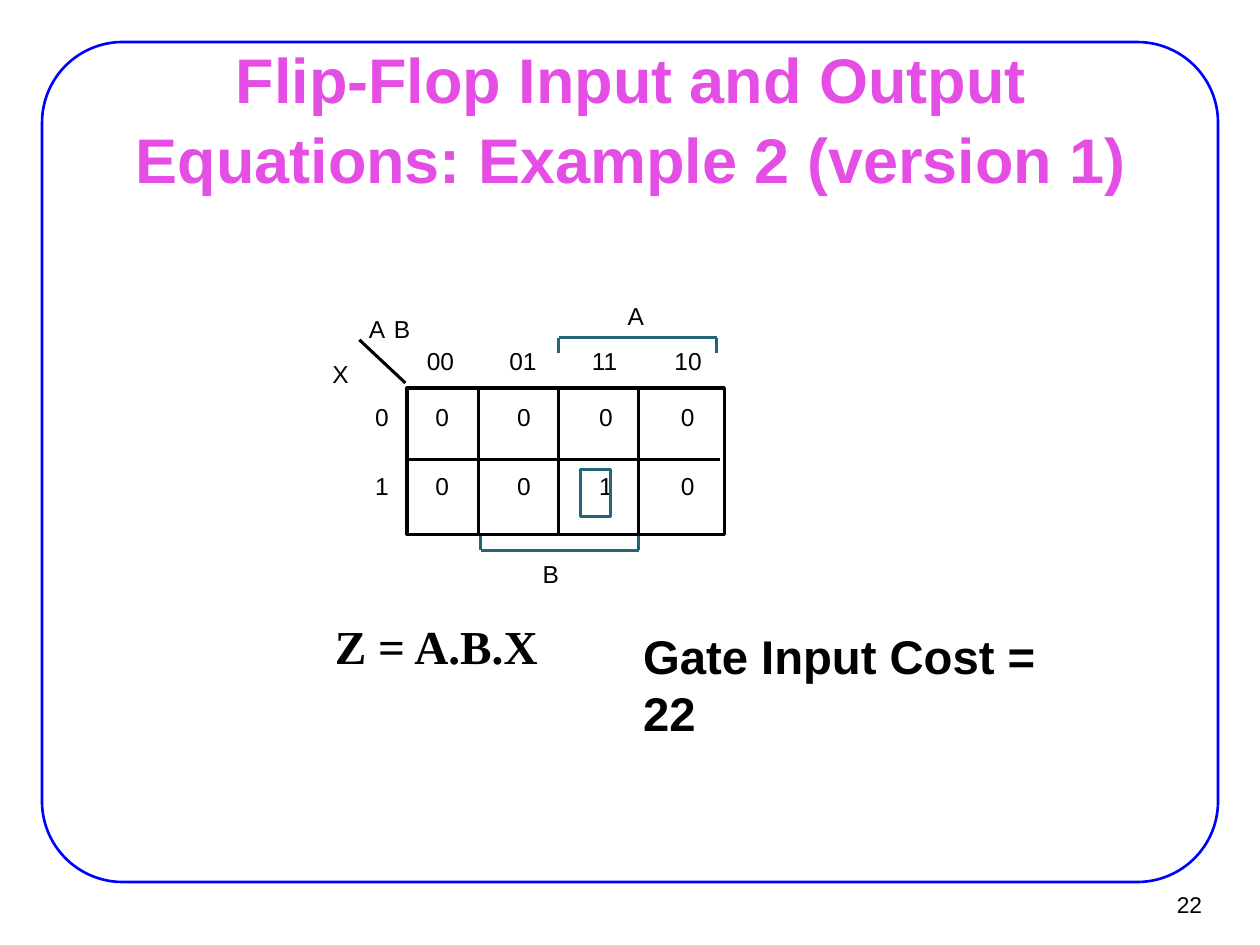
from lxml.etree import SubElement
from pptx import Presentation
from pptx.dml.color import RGBColor
from pptx.enum.shapes import MSO_CONNECTOR, MSO_SHAPE
from pptx.enum.text import MSO_ANCHOR, PP_ALIGN
from pptx.oxml.ns import qn
from pptx.util import Inches, Pt

WIDTH, HEIGHT = 10, 7.5
BLACK, BLUE, PINK, TEAL = "000000", "0000FF", "E44EE4", "226577"
THIN, THICK = 1.5, 1.75
HEADERS = ("00", "01", "11", "10")
MAP_ROWS = {"0": "0000", "1": "0010"}


def color(code):
    return RGBColor.from_string(code)


def inches(*lengths):
    return [Inches(length) for length in lengths]


def share(x, y, w, h):
    return x * WIDTH, y * HEIGHT, w * WIDTH, h * HEIGHT


def write(slide, box, words, size, ink=BLACK, font="Arial", bold=False,
          align=PP_ALIGN.LEFT, anchor=MSO_ANCHOR.TOP, margins=(0.1, 0.05),
          wrap=False, spacing=None):
    frame = slide.shapes.add_textbox(*inches(*box)).text_frame
    frame.word_wrap = wrap
    frame.vertical_anchor = anchor
    frame.margin_left = frame.margin_right = Inches(margins[0])
    frame.margin_top = frame.margin_bottom = Inches(margins[1])
    paragraph = frame.paragraphs[0]
    paragraph.alignment = align
    if spacing:
        paragraph.line_spacing = spacing
    run = paragraph.add_run()
    run.text = words
    run.font.name = font
    run.font.size = Pt(size)
    run.font.bold = bold
    run.font.color.rgb = color(ink)


def outline(slide, kind, box, ink, weight):
    shape = slide.shapes.add_shape(kind, *inches(*box))
    shape.shadow.inherit = False
    shape.fill.background()
    shape.line.color.rgb = color(ink)
    shape.line.width = Pt(weight)
    return shape


def stroke(slide, start, end, ink):
    line = slide.shapes.add_connector(
        MSO_CONNECTOR.STRAIGHT, *inches(*start, *end))
    line.line.color.rgb = color(ink)
    line.line.width = Pt(THICK)
    SubElement(line._element.spPr, qn("a:effectLst"))


def page_frame(slide, box):
    border = outline(slide, MSO_SHAPE.ROUNDED_RECTANGLE, box, BLUE, THIN)
    border.adjustments[0] = 0.096


def karnaugh_map(slide, box):
    left, top, width, height = box
    column, row = width / len(HEADERS), height / len(MAP_ROWS)

    def at(x, y):
        return left + x * column, top + y * row

    def label(x, y, words):
        size = (0.29 * column * len(words), 0.4 * row)
        write(slide, (*at(x, y), *size), words, 14, margins=(0, 0))

    def bracket(first, last, feet, bar):
        corners = [at(first, feet), at(first, bar), at(last, bar), at(last, feet)]
        for start, end in zip(corners, corners[1:]):
            stroke(slide, start, end, TEAL)

    outline(slide, MSO_SHAPE.RECTANGLE, box, BLACK, THICK)
    edges = [0.9 + 1.01 * index for index in range(len(HEADERS) - 1)]
    for edge in edges:
        stroke(slide, at(edge, -0.02), at(edge, 1.98), BLACK)
    stroke(slide, at(-0.02, 0.98), at(3.94, 0.98), BLACK)
    stroke(slide, at(-0.02, -0.07), at(-0.6, -0.66), BLACK)
    bracket(edges[0] + 0.03, edges[2], 2.02, 2.22)
    bracket(edges[1], 3.9, -0.48, -0.69)

    for x, y, variable in ((-0.48, -1.02, "A"), (-0.25, -1.02, " B"),
                           (2.78, -1.19, "A"), (1.71, 2.34, "B"),
                           (-0.94, -0.4, "X")):
        label(x, y, variable)
    for index, header in enumerate(HEADERS):
        label(0.25 + 1.04 * index, -0.57, header)
    for level, (header, values) in enumerate(MAP_ROWS.items()):
        y = 0.19 + 0.95 * level
        label(-0.4, y, header)
        for index, value in enumerate(values):
            label(0.36 + 1.03 * index, y, value)
    outline(slide, MSO_SHAPE.RECTANGLE,
            (*at(2.19, 1.12), 0.37 * column, 0.64 * row), TEAL, THICK)


def results(slide, box):
    left, top, width, height = box
    write(slide, (left, top, 0.59 * width, 0.87 * height), "Z = A.B.X", 27,
          font="Times New Roman", bold=True, wrap=True)
    write(slide, (left + 0.39 * width, top + 0.13 * height,
                  0.61 * width, 0.87 * height),
          "Gate Input Cost = 22", 27, bold=True)


def main():
    deck = Presentation()
    deck.slide_width, deck.slide_height = inches(WIDTH, HEIGHT)
    slide = deck.slides.add_slide(deck.slide_layouts[6])
    page_frame(slide, share(1 / 30, 2 / 45, 14 / 15, 8 / 9))
    write(slide, (9.02, 6.99, 0.61, 0.37), "22", 13, align=PP_ALIGN.RIGHT,
          anchor=MSO_ANCHOR.MIDDLE, margins=(0.09, 0.04))
    write(slide, (0.76, 0.68, 8.5, 0.49),
          "Flip-Flop Input and Output Equations: Example 2 (version 1)", 36,
          PINK, bold=True, align=PP_ALIGN.CENTER, anchor=MSO_ANCHOR.MIDDLE,
          margins=(0.11, 0.06), wrap=True, spacing=1.05)
    karnaugh_map(slide, (3.23, 3.08, 2.52, 1.16))
    results(slide, (2.56, 4.85, 6.27, 0.63))
    deck.save("out.pptx")


if __name__ == "__main__":
    main()
